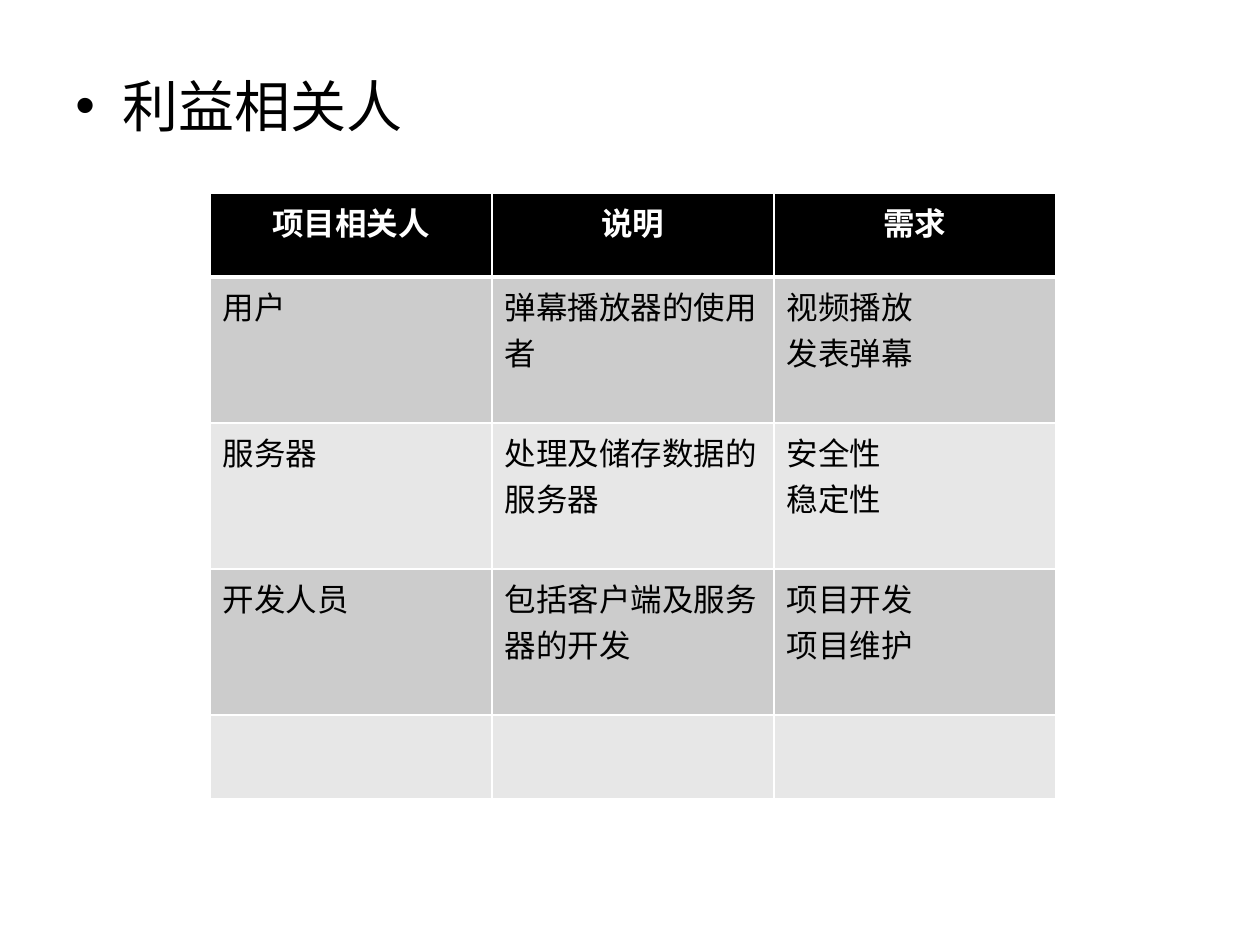
"""Build a slide with a table of project stakeholders."""
from lxml import etree
from pptx import Presentation
from pptx.dml.color import RGBColor
from pptx.enum.text import PP_ALIGN
from pptx.oxml.ns import qn
from pptx.util import Emu, Pt

SCALE = 914400 // 126
CENTER, LEFT = PP_ALIGN.CENTER, PP_ALIGN.LEFT
BLACK = RGBColor(0x00, 0x00, 0x00)
WHITE = RGBColor(0xFF, 0xFF, 0xFF)
DARK_BAND = RGBColor(0xCC, 0xCC, 0xCC)
LIGHT_BAND = RGBColor(0xE7, 0xE7, 0xE7)
FONT = "Calibri"
COLUMN_WIDTH = 282
ROW_HEIGHTS = [84, 146, 146, 146, 84]
ROWS = [
    ["项目相关人", "说明", "需求"],
    ["用户", "弹幕播放器的使用者", "视频播放\n发表弹幕"],
    ["服务器", "处理及储存数据的服务器", "安全性\n稳定性"],
    ["开发人员", "包括客户端及服务器的开发", "项目开发\n项目维护"],
    ["", "", ""],
]


def px(length):
    return Emu(length * SCALE)


def write_text(frame, text, size=18, color=BLACK, bold=False, align=LEFT):
    frame.word_wrap = True
    for index, line in enumerate(text.split("\n")):
        para = frame.paragraphs[0] if index == 0 else frame.add_paragraph()
        para.alignment = align
        para.font.size = Pt(size)
        if line:
            span = para.add_run()
            span.text = line
            span.font.name = FONT
            span.font.size = Pt(size)
            span.font.bold = bold
            span.font.color.rgb = color


def add_bullet(para, indent):
    properties = para._p.get_or_add_pPr()
    properties.set("marL", str(px(indent)))
    properties.set("indent", str(-px(indent)))
    etree.SubElement(properties, qn("a:buFont"), typeface="Arial")
    etree.SubElement(properties, qn("a:buChar"), char="•")


def add_heading(page, text):
    box = page.shapes.add_textbox(px(63), px(65), px(1134), px(779))
    write_text(box.text_frame, text, size=32)
    para = box.text_frame.paragraphs[0]
    para.space_before = Pt(6.4)
    add_bullet(para, 47)


def set_borders(cell, bottom=1, top=1):
    properties = cell._tc.get_or_add_tcPr()
    for side, width in (("L", 1), ("R", 1), ("T", top), ("B", bottom)):
        line = etree.SubElement(properties, qn(f"a:ln{side}"), w=str(Pt(width)))
        fill = etree.SubElement(line, qn("a:solidFill"))
        etree.SubElement(fill, qn("a:srgbClr"), val=str(WHITE))


def fill_cell(cell, text, row):
    header = row == 0
    set_borders(cell, bottom=3 if header else 1, top=3 if row == 1 else 1)
    cell.fill.solid()
    band = DARK_BAND if row % 2 else LIGHT_BAND
    cell.fill.fore_color.rgb = BLACK if header else band
    write_text(cell.text_frame, text, color=WHITE if header else BLACK,
               bold=header, align=CENTER if header else LEFT)


def add_stakeholder_table(page):
    columns = len(ROWS[0])
    frame = page.shapes.add_table(len(ROWS), columns, px(210), px(193),
                                  px(COLUMN_WIDTH * columns), px(sum(ROW_HEIGHTS)))
    table = frame.table
    table.horz_banding = False
    for column in table.columns:
        column.width = px(COLUMN_WIDTH)
    for row, (height, texts) in enumerate(zip(ROW_HEIGHTS, ROWS)):
        table.rows[row].height = px(height)
        for column, text in enumerate(texts):
            fill_cell(table.cell(row, column), text, row)


def main():
    deck = Presentation()
    deck.slide_width, deck.slide_height = px(1260), px(945)
    page = deck.slides.add_slide(deck.slide_layouts[6])
    add_heading(page, "利益相关人")
    add_stakeholder_table(page)
    deck.save("out.pptx")


main()
